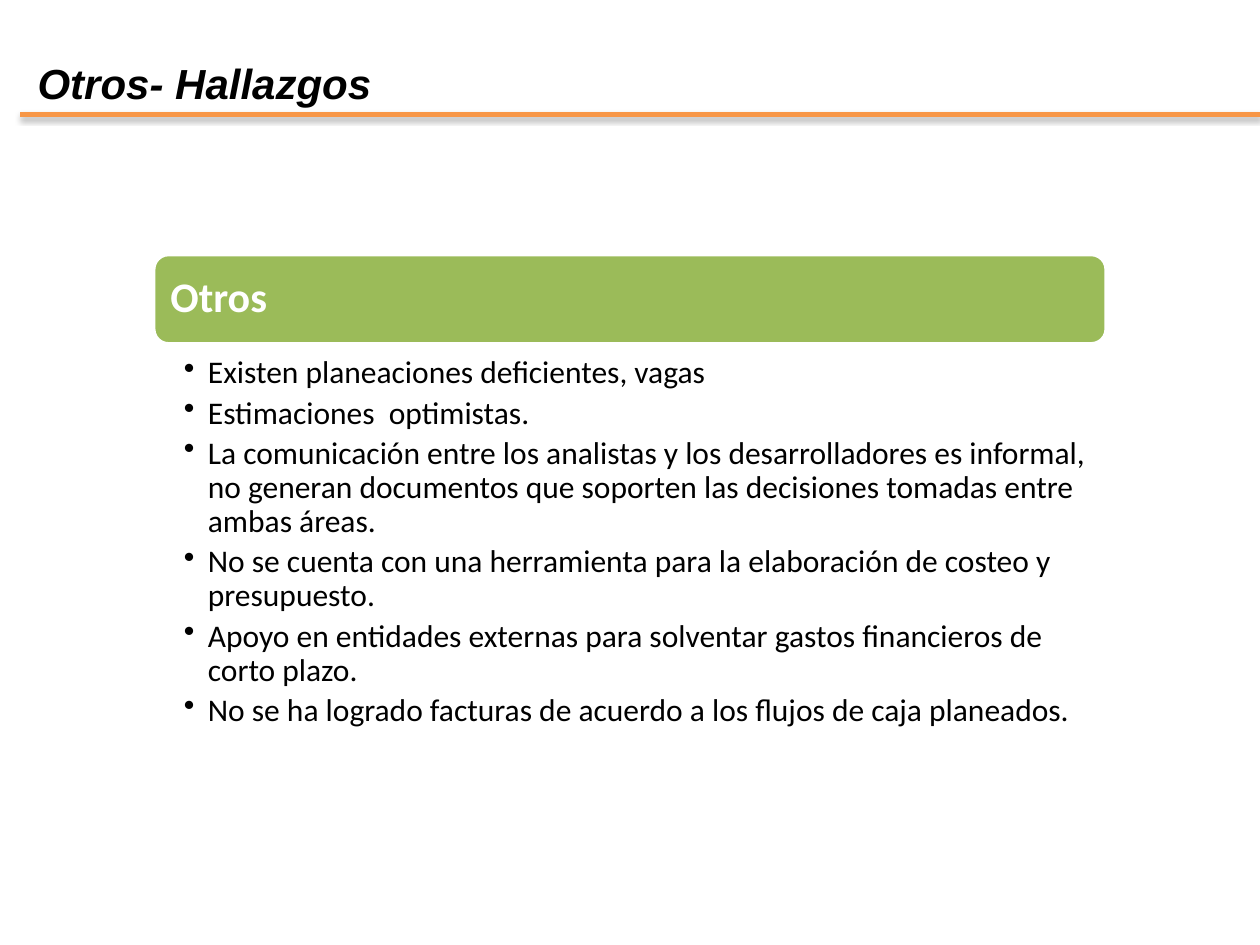
import pptx
import pptx.util
import pptx.dml.color
import pptx.enum.shapes
import pptx.enum.text
import pptx.oxml
import pptx.oxml.ns

Inches, Pt = pptx.util.Inches, pptx.util.Pt
RGBColor = pptx.dml.color.RGBColor
BLACK = RGBColor(0x00, 0x00, 0x00)
WHITE = RGBColor(0xFF, 0xFF, 0xFF)
ORANGE = RGBColor(0xF7, 0x96, 0x46)
GREEN = RGBColor(0x9B, 0xBB, 0x59)

FINDINGS = [
    "Existen planeaciones deficientes, vagas",
    "Estimaciones  optimistas.",
    "La comunicación entre los analistas y los desarrolladores es informal, "
    "no generan documentos que soporten las decisiones tomadas entre ambas áreas.",
    "No se cuenta con una herramienta para la elaboración de costeo y presupuesto.",
    "Apoyo en entidades externas para solventar gastos financieros de corto plazo.",
    "No se ha logrado facturas de acuerdo a los flujos de caja planeados.",
]


def set_frame(sp, insets, anchor=pptx.enum.text.MSO_ANCHOR.TOP):
    """Wrap the text of a shape and set its insets in inches."""
    tf = sp.text_frame
    tf.word_wrap = True
    tf.vertical_anchor = anchor
    tf.margin_left, tf.margin_top, tf.margin_right, tf.margin_bottom = map(Inches, insets)
    return tf


def add_text(p, text, size=18, font="Calibri", color=BLACK, bold=False, italic=False,
             spacing=None, after=None, bullet=None, indent=0.19):
    """Fill a paragraph with one formatted run."""
    p.alignment = pptx.enum.text.PP_ALIGN.LEFT
    if bullet:
        pPr = p._p.get_or_add_pPr()
        pPr.set("marL", str(Inches(indent)))
        pPr.set("indent", str(-Inches(indent)))
        pPr.append(pptx.oxml.parse_xml(
            f'<a:buChar {pptx.oxml.ns.nsdecls("a")} char="{bullet}"/>'))
    if spacing:
        p.line_spacing = spacing
    if after:
        p.space_after = Pt(after)
    r = p.add_run()
    r.text = text
    f = r.font
    f.size, f.name, f.bold, f.italic = Pt(size), font, bold, italic
    f.color.rgb = color


def add_heading(s, x, y, w, h, title):
    """Place the slide title with a shadowed rule along the bottom of the box."""
    rule = s.shapes.add_connector(
        pptx.enum.shapes.MSO_CONNECTOR.STRAIGHT, x, y + h, x + w, y + h)
    rule.line.color.rgb = ORANGE
    rule.line.width = Pt(3)
    rule._element.spPr.append(pptx.oxml.parse_xml(
        f'<a:effectLst {pptx.oxml.ns.nsdecls("a")}>'
        f'<a:outerShdw blurRad="{Pt(3.1)}" dist="{Pt(1.8)}" dir="5400000" rotWithShape="0">'
        '<a:srgbClr val="000000"><a:alpha val="35000"/></a:srgbClr>'
        '</a:outerShdw></a:effectLst>'))
    sp = s.shapes.add_textbox(x + Inches(0.04), y, int(w * 0.71), h)
    tf = set_frame(sp, (0.1, 0.05, 0.1, 0.05))
    add_text(tf.paragraphs[0], title, size=24, font="Arial", bold=True, italic=True)


def add_findings(s, x, y, w, h, title, findings):
    """Place a rounded header bar above a bulleted list."""
    bar_h, list_top = int(h * 0.18), int(h * 0.198)
    bar = s.shapes.add_shape(
        pptx.enum.shapes.MSO_SHAPE.ROUNDED_RECTANGLE, x, y, w, bar_h)
    bar.shadow.inherit = False
    bar.fill.solid()
    bar.fill.fore_color.rgb = GREEN
    bar.line.color.rgb = WHITE
    bar.line.width = Pt(2)
    tf = set_frame(bar, (0.1, 0.1, 0.1, 0.1), pptx.enum.text.MSO_ANCHOR.MIDDLE)
    add_text(tf.paragraphs[0], title, size=24, color=WHITE, bold=True, spacing=0.9)

    sp = s.shapes.add_textbox(x, y + list_top, w, h - list_top)
    tf = set_frame(sp, (0.24, 0.03, 0.14, 0.03))
    for i, finding in enumerate(findings):
        p = tf.add_paragraph() if i else tf.paragraphs[0]
        add_text(p, finding, spacing=0.9, after=3.6, bullet="•")


def main():
    """Build and save the slide."""
    prs = pptx.Presentation()
    prs.slide_width, prs.slide_height = Inches(10), Inches(7.5)
    s = prs.slides.add_slide(prs.slide_layouts[6])
    add_heading(s, Inches(0.16), Inches(0.41), Inches(9.84), Inches(0.5),
                "Otros- Hallazgos")
    add_findings(s, Inches(1.22), Inches(2.02), Inches(7.56), Inches(3.94),
                 "Otros", FINDINGS)
    prs.save("out.pptx")


if __name__ == "__main__":
    main()
